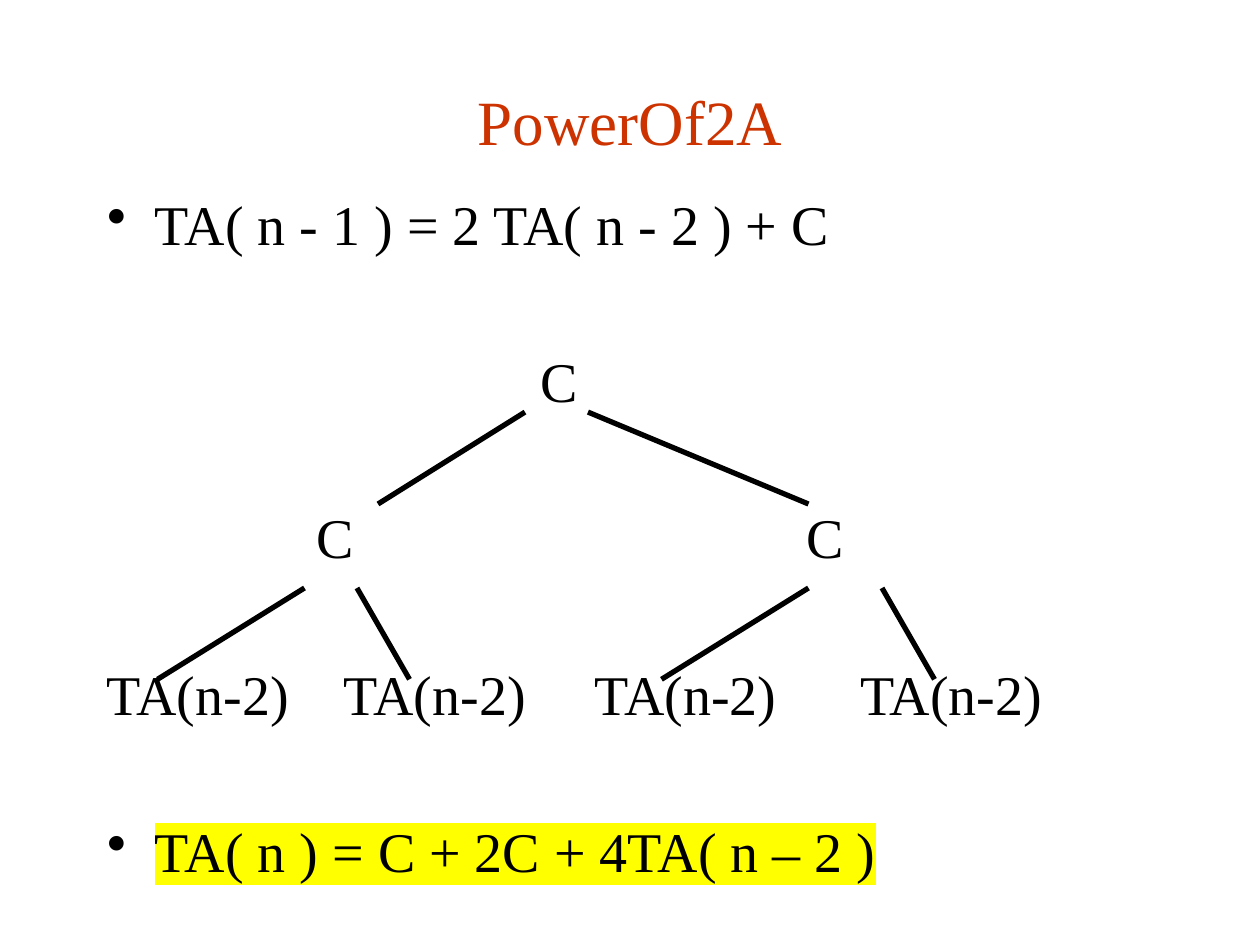
"""Build the PowerOf2A recursion-tree slide."""
from dataclasses import dataclass
from typing import NamedTuple

from lxml import etree
from pptx import Presentation
from pptx import util as u
from pptx.dml.color import RGBColor
from pptx.enum import shapes, text
from pptx.oxml.ns import qn


@dataclass(frozen=True)
class Theme:
    font: str = "Times New Roman"
    title_size: int = 36
    body_size: int = 32
    branch_width: int = 3
    title: str = "CC3300"
    ink: str = "000000"
    highlight: str = "FFFF00"


class Node(NamedTuple):
    label: str
    center: float
    line: int


class Branch(NamedTuple):
    parent_column: float
    child_column: float
    level: int


class Equation(NamedTuple):
    formula: str
    line: int
    highlight: str = ""


THEME = Theme()
COLUMNS, ROWS = 120, 90
WIDTH, HEIGHT = u.Inches(10), u.Inches(7.5)
FIRST_LINE, LINE_PITCH, LINE_HEIGHT = 18.15, 7.47, 6.14
LEFT_MARGIN, NODE_WIDTH, BODY_WIDTH = 10.2, 19, 99.6
HANGING_INDENT = u.Inches(0.38)
BRANCH_ROWS = ((39.25, 48), (56, 64.7))

EQUATIONS = (
    Equation("TA( n - 1 ) = 2 TA( n - 2 ) + C", 0),
    Equation("TA( n ) = C + 2C + 4TA( n – 2 )", 8, THEME.highlight),
)
NODES = (
    Node("C", 53.3, 2),
    Node("C", 31.9, 4),
    Node("C", 78.6, 4),
    Node("TA(n-2)", 18.85, 6),
    Node("TA(n-2)", 41.4, 6),
    Node("TA(n-2)", 65.3, 6),
    Node("TA(n-2)", 90.6, 6),
)
BRANCHES = (
    Branch(50, 36, 0),
    Branch(56, 77, 0),
    Branch(29, 15, 1),
    Branch(34, 39, 1),
    Branch(77, 63, 1),
    Branch(84, 89, 1),
)


def across(columns: float) -> int:
    """Convert grid columns to a length."""
    return round(WIDTH * columns / COLUMNS)


def down(rows: float) -> int:
    """Convert grid rows to a length."""
    return round(HEIGHT * rows / ROWS)


def line_top(line: int) -> float:
    """Return the grid row where a text line starts."""
    return FIRST_LINE + line * LINE_PITCH


def add_text(slide, wording: str, left: float, top: float, width: float, height: float, *,
             size: int = THEME.body_size, color: str = THEME.ink,
             align=text.PP_ALIGN.LEFT, bullet: bool = False, highlight: str = "") -> None:
    """Place one formatted line of text on the grid."""
    frame = slide.shapes.add_textbox(across(left), down(top), across(width), down(height)).text_frame
    frame.word_wrap = True
    frame.vertical_anchor = text.MSO_ANCHOR.MIDDLE
    frame.margin_left = frame.margin_right = frame.margin_top = frame.margin_bottom = 0
    paragraph = frame.paragraphs[0]
    paragraph.alignment = align
    run = paragraph.add_run()
    run.text = wording
    run.font.name = THEME.font
    run.font.size = u.Pt(size)
    run.font.color.rgb = RGBColor.from_string(color)
    if bullet:
        properties = paragraph._p.get_or_add_pPr()
        properties.set("marL", str(HANGING_INDENT))
        properties.set("indent", str(-HANGING_INDENT))
        etree.SubElement(properties, qn("a:buChar")).set("char", "•")
    if highlight:
        marker = etree.Element(qn("a:highlight"))
        etree.SubElement(marker, qn("a:srgbClr")).set("val", highlight)
        run.font._element.find(qn("a:solidFill")).addnext(marker)


def add_equation(slide, equation: Equation) -> None:
    """Draw a bulleted recurrence."""
    add_text(slide, equation.formula, LEFT_MARGIN, line_top(equation.line), BODY_WIDTH, LINE_HEIGHT,
             bullet=True, highlight=equation.highlight)


def add_node(slide, node: Node) -> None:
    """Draw a tree label centred on its column."""
    add_text(slide, node.label, node.center - NODE_WIDTH / 2, line_top(node.line),
             NODE_WIDTH, LINE_HEIGHT, align=text.PP_ALIGN.CENTER)


def add_branch(slide, branch: Branch) -> None:
    """Draw a line from a parent down to its child."""
    top, bottom = BRANCH_ROWS[branch.level]
    connector = slide.shapes.add_connector(
        shapes.MSO_CONNECTOR.STRAIGHT, across(branch.parent_column), down(top),
        across(branch.child_column), down(bottom))
    connector.line.color.rgb = RGBColor.from_string(THEME.ink)
    connector.line.width = u.Pt(THEME.branch_width)
    etree.SubElement(connector._element.spPr, qn("a:effectLst"))


def main() -> None:
    """Assemble and save the slide."""
    deck = Presentation()
    deck.slide_width, deck.slide_height = WIDTH, HEIGHT
    slide = deck.slides.add_slide(deck.slide_layouts[6])
    add_text(slide, "PowerOf2A", 9, 8, 102, 7, size=THEME.title_size,
             color=THEME.title, align=text.PP_ALIGN.CENTER)
    for equation in EQUATIONS:
        add_equation(slide, equation)
    for node in NODES:
        add_node(slide, node)
    for branch in BRANCHES:
        add_branch(slide, branch)
    deck.save("out.pptx")


if __name__ == "__main__":
    main()
